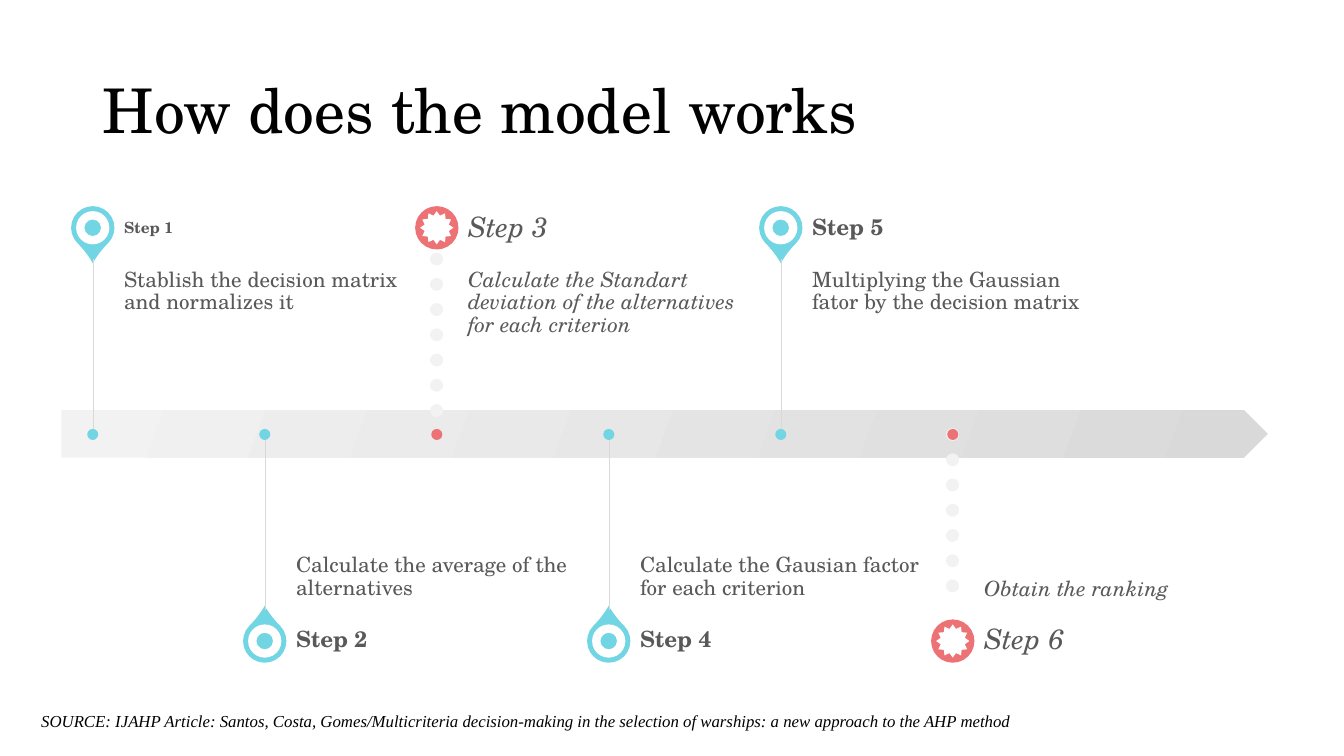
from lxml.etree import SubElement
from pptx import Presentation
from pptx.dml.color import RGBColor
from pptx.enum.dml import MSO_LINE
from pptx.enum.shapes import MSO_CONNECTOR, MSO_SHAPE
from pptx.enum.text import MSO_ANCHOR, MSO_AUTO_SIZE, PP_ALIGN
from pptx.oxml.ns import qn
from pptx.util import Inches, Pt

TEAL, CORAL, WHITE, GREY = "72D5E3", "EC7276", "FFFFFF", "595959"
SERIF = "TeX Gyre Schola"
AXIS_Y, FIRST_X, LAST_X = 4.31, 0.92, 9.45
STEM, HEAD_HEIGHT = 1.74, 0.61
STEPS = [
    ("Step 1", "Stablish the decision matrix and normalizes it", 11, False),
    ("Step 2", "Calculate the average of the alternatives", 16, False),
    ("Step 3", "Calculate the Standart deviation of the alternatives for each criterion", 20, True),
    ("Step 4", "Calculate the Gausian factor for each criterion", 16, False),
    ("Step 5", "Multiplying the Gaussian fator by the decision matrix", 16, False),
    ("Step 6", "Obtain the ranking", 20, True),
]
PITCH = (LAST_X - FIRST_X) / (len(STEPS) - 1)

prs = Presentation()
prs.slide_width, prs.slide_height = Inches(13.33), Inches(7.5)
slide = prs.slides.add_slide(prs.slide_layouts[5])
shapes = slide.shapes


def color(hex_code):
    return RGBColor.from_string(hex_code)


def marker(kind, x, y, size, hex_code):
    mark = shapes.add_shape(kind, Inches(x - size / 2), Inches(y - size / 2), Inches(size), Inches(size))
    mark.shadow.inherit = False
    mark.fill.solid()
    mark.fill.fore_color.rgb = color(hex_code)
    mark.line.fill.background()
    return mark


title = shapes.title
title.left, title.top, title.width, title.height = map(Inches, (0.92, 0.4, 11.5, 1.45))
title.text_frame.text = "How does the model works"
title.text_frame.auto_size = MSO_AUTO_SIZE.NONE
title.text_frame.vertical_anchor = MSO_ANCHOR.MIDDLE
heading = title.text_frame.paragraphs[0]
heading.alignment = PP_ALIGN.LEFT
heading.line_spacing = 0.9
heading.font.name, heading.font.size = SERIF, Pt(44)
heading.font.color.rgb = color("000000")

timeline = shapes.add_shape(MSO_SHAPE.PENTAGON, Inches(0.61), Inches(4.07), Inches(11.96), Inches(0.47))
timeline.shadow.inherit = False
timeline.line.fill.background()
timeline.fill.gradient()
timeline.fill.gradient_angle = 340
for stop, position, shade in zip(timeline.fill.gradient_stops, (0, 1), ("F2F2F2", "D9D9D9")):
    stop.position = position
    stop.color.rgb = color(shade)

for index, (name, detail, name_size, highlighted) in enumerate(STEPS):
    x = FIRST_X + index * PITCH
    above = index % 2 == 0
    accent = CORAL if highlighted else TEAL
    stem_end = AXIS_Y - STEM if above else AXIS_Y + STEM
    detail_top = stem_end if above else AXIS_Y
    name_top = stem_end - HEAD_HEIGHT if above else stem_end
    pin_y = AXIS_Y - 2.05 if above else AXIS_Y + 2.05

    pin = marker(MSO_SHAPE.OVAL if highlighted else MSO_SHAPE.TEAR, x, pin_y, 0.43, accent)
    pin.rotation = 135 if above else 315
    if not highlighted:
        pin.adjustments[0] = 1.15
    marker(MSO_SHAPE.STAR_12_POINT if highlighted else MSO_SHAPE.DONUT, x, pin_y, 0.33, WHITE)

    for words, top, height, size, anchor, bold, margins in (
        (detail, detail_top, STEM, 15, MSO_ANCHOR.TOP if above else MSO_ANCHOR.BOTTOM, False,
         (0.1, 0.1, 0.16) if above else (0, 0.16, 0.1)),
        (name, name_top, HEAD_HEIGHT, name_size, MSO_ANCHOR.MIDDLE, not highlighted, (0.1, 0, 0)),
    ):
        frame = shapes.add_textbox(Inches(x + 0.31), Inches(top), Inches(2.82), Inches(height)).text_frame
        frame.word_wrap = True
        frame.vertical_anchor = anchor
        frame.margin_left = 0
        frame.margin_right, frame.margin_top, frame.margin_bottom = map(Inches, margins)
        frame.text = words
        line = frame.paragraphs[0]
        line.line_spacing = 0.9
        line.font.name, line.font.size = SERIF, Pt(size)
        line.font.bold, line.font.italic = bold, highlighted
        line.font.color.rgb = color(GREY)

    stem = shapes.add_connector(MSO_CONNECTOR.STRAIGHT, Inches(x), Inches(min(AXIS_Y, stem_end)),
                                Inches(x), Inches(max(AXIS_Y, stem_end)))
    stem.line.color.rgb = color("F2F2F2" if highlighted else "D9D9D9")
    stem.line.width = Pt(9 if highlighted else 0.25)
    if highlighted:
        stem.line.dash_style = MSO_LINE.ROUND_DOT
        stem.line._get_or_add_ln().set("cap", "rnd")
    SubElement(stem._element.spPr, qn("a:effectLst"))
    marker(MSO_SHAPE.OVAL, x, AXIS_Y, 0.11, accent)

source = shapes.add_textbox(Inches(0.31), Inches(7), Inches(13.02), Inches(0.5)).text_frame
source.word_wrap = True
source.text = ("SOURCE: IJAHP Article: Santos, Costa, Gomes/Multicriteria decision-making "
               "in the selection of warships: a new approach to the AHP method")
citation = source.paragraphs[0]
citation.font.name, citation.font.size = "Times New Roman", Pt(12)
citation.font.italic = True
citation.font.color.rgb = color("000000")

prs.save("out.pptx")
